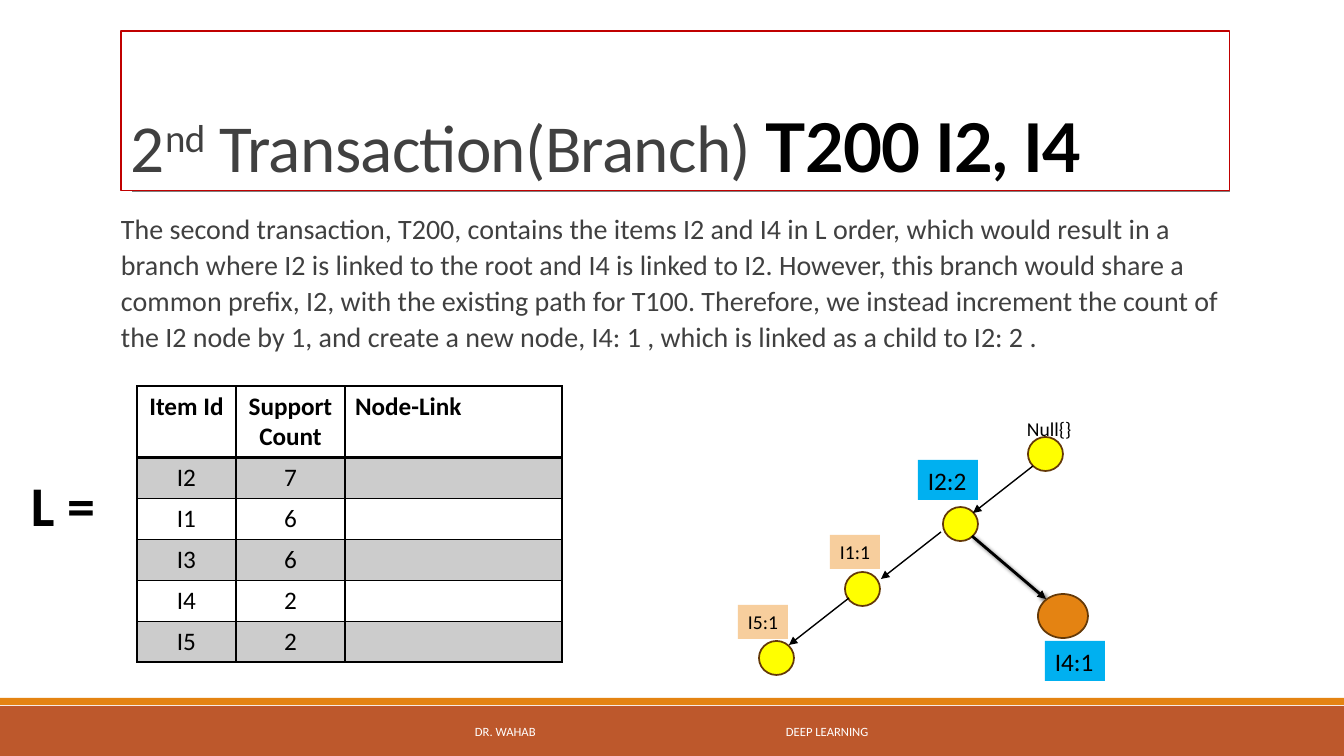
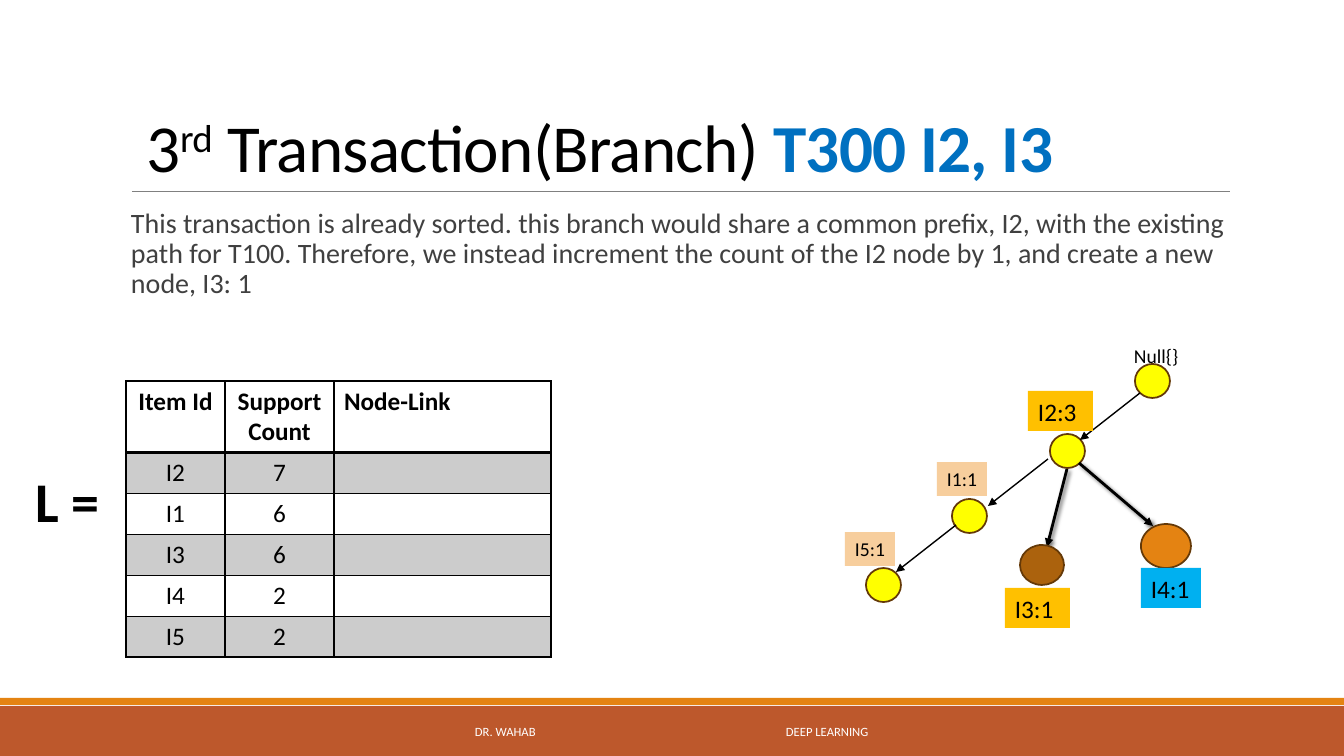
import lxml.etree
import pptx
import pptx.dml.color
import pptx.enum.shapes
import pptx.enum.text
import pptx.oxml.ns
import pptx.util

RGB = pptx.dml.color.RGBColor
SHAPE = pptx.enum.shapes.MSO_SHAPE
ALIGN = pptx.enum.text.PP_ALIGN
ANCHOR = pptx.enum.text.MSO_ANCHOR
qn = pptx.oxml.ns.qn

EMU_PER_PX = 914400 / 100.8
BLACK = RGB(0, 0, 0)
WHITE = RGB(0xFF, 0xFF, 0xFF)
DARK_GRAY = RGB(0x40, 0x40, 0x40)
RULE_GRAY = RGB(0x80, 0x80, 0x80)
STRIPE_GRAY = RGB(0xCC, 0xCC, 0xCC)
RUST = RGB(0xBD, 0x58, 0x2C)
ORANGE = RGB(0xE4, 0x83, 0x12)
BROWN = RGB(0xAB, 0x62, 0x0D)
DARK_BROWN = RGB(0x64, 0x39, 0x08)
PEACH = RGB(0xF7, 0xCE, 0x9D)
YELLOW = RGB(0xFF, 0xFF, 0)
AMBER = RGB(0xFF, 0xC0, 0)
SKY = RGB(0, 0xB0, 0xF0)
BLUE = RGB(0, 0x70, 0xC0)
RED = RGB(0xC0, 0, 0)

TITLE_BOX = (121, 31, 1109, 160)
BODY_BOX = (121, 204, 1109, 443)
FOOTER_BOX = (406, 712, 531, 40)
COLUMN_WIDTHS = (99, 109, 217)
ROW_HEIGHTS = (71, 40, 40, 40, 40, 40)
SUPPORT_ROWS = [
    ("Item Id", "Support Count", "Node-Link"),
    ("I2", "7", ""),
    ("I1", "6", ""),
    ("I3", "6", ""),
    ("I4", "2", ""),
    ("I5", "2", ""),
]
NODE_SIZE = (35, 34)
NODES = [(290, 25), (205, 95), (107, 160), (21, 229)]
ARROW_STARTS = [(295, 54), (203, 120), (111, 186)]
ARROW_STEP = (-60, 47)
SMALL_LABELS = [("I1:1", 92, 123), ("I5:1", 0, 193)]


def px(length):
    return pptx.util.Emu(round(length * EMU_PER_PX))


def box_px(box):
    return [px(length) for length in box]


def set_attributes(target, values):
    for name, value in values.items():
        setattr(target, name, value)


def add_element(parent, tag, **attributes):
    element = lxml.etree.SubElement(parent, qn(tag))
    for name, value in attributes.items():
        element.set(name, str(value))
    return element


def add_run(paragraph, text, size, color, bold=False, font="Calibri"):
    run = paragraph.add_run()
    run.text = text
    set_attributes(run.font, {"name": font, "size": pptx.util.Pt(size), "bold": bold})
    run.font.color.rgb = color
    return run


def format_frame(frame, wrap=True, anchor=ANCHOR.TOP, insets=(10, 5, 10, 5)):
    left, top, right, bottom = box_px(insets)
    set_attributes(frame, {
        "word_wrap": wrap,
        "auto_size": pptx.enum.text.MSO_AUTO_SIZE.NONE,
        "vertical_anchor": anchor,
        "margin_left": left,
        "margin_top": top,
        "margin_right": right,
        "margin_bottom": bottom,
    })


def add_text(slide, box, text, size, color=BLACK, bold=False, spacing=1.0, **frame_format):
    frame = slide.shapes.add_textbox(*box_px(box)).text_frame
    format_frame(frame, **frame_format)
    paragraph = frame.paragraphs[0]
    paragraph.line_spacing = spacing
    add_run(paragraph, text, size, color, bold)
    return paragraph


def add_box(slide, kind, box, fill, outline=None):
    shape = slide.shapes.add_shape(kind, *box_px(box))
    shape.shadow.inherit = False
    shape.fill.solid()
    shape.fill.fore_color.rgb = fill
    if outline is None:
        shape.line.fill.background()
    else:
        shape.line.color.rgb = outline
        shape.line.width = pptx.util.Pt(1.25)
    return shape


def add_line(slide, start, end, color=BLACK, width=1, arrow=True, shadow=False):
    connector = slide.shapes.add_connector(
        pptx.enum.shapes.MSO_CONNECTOR.STRAIGHT, *box_px((*start, *end)))
    connector.line.color.rgb = color
    connector.line.width = pptx.util.Pt(width)
    if arrow:
        add_element(connector.line._get_or_add_ln(), "a:tailEnd", type="triangle")
    effects = add_element(connector._element.spPr, "a:effectLst")
    if shadow:
        outer = add_element(effects, "a:outerShdw", blurRad=38100, dist=25400, dir=2700000)
        tint = add_element(outer, "a:srgbClr", val=BLACK)
        add_element(tint, "a:alpha", val=60000)


def add_frame(slide):
    add_box(slide, SHAPE.RECTANGLE, (0, 706, 1344, 50), RUST)
    add_box(slide, SHAPE.RECTANGLE, (0, 698, 1344, 7), ORANGE)
    add_line(slide, (132, 191), (1230, 191), RULE_GRAY, 0.5, arrow=False)
    footer = add_text(slide, FOOTER_BOX, "DR. WAHAB\tDEEP LEARNING", 9, WHITE,
                      anchor=ANCHOR.MIDDLE, insets=(69, 5, 10, 5))
    tabs = add_element(footer._p.get_or_add_pPr(), "a:tabLst")
    add_element(tabs, "a:tab", pos=px(311), algn="l")


def format_title(slide, ordinal, suffix, transaction, color, accent, font, spacing, inset):
    title = slide.shapes.title
    left, top, width, height = box_px(TITLE_BOX)
    set_attributes(title, {"left": left, "top": top, "width": width, "height": height})
    format_frame(title.text_frame, anchor=ANCHOR.BOTTOM, insets=(inset, 5, 10, 5))
    paragraph = title.text_frame.paragraphs[0]
    set_attributes(paragraph, {"alignment": ALIGN.LEFT, "line_spacing": spacing})
    runs = [
        add_run(paragraph, ordinal, 48, color),
        add_run(paragraph, suffix, 48, color),
        add_run(paragraph, " Transaction(Branch) ", 48, color),
        add_run(paragraph, transaction, 48, accent, True, font),
    ]
    for run in runs:
        run._r.get_or_add_rPr().set("spc", "-50")
    runs[1]._r.get_or_add_rPr().set("baseline", "30000")
    title.element.getparent().append(title.element)
    return title


def set_borders(cell, bottom_width, top_width):
    properties = cell._tc.get_or_add_tcPr()
    widths = {"a:lnL": 1, "a:lnR": 1, "a:lnT": top_width, "a:lnB": bottom_width}
    for position, (tag, width) in enumerate(widths.items()):
        line = lxml.etree.Element(qn(tag), w=str(pptx.util.Pt(width)))
        add_element(add_element(line, "a:solidFill"), "a:srgbClr", val=BLACK)
        properties.insert(position, line)


def add_support_table(slide, left, top):
    box = (left, top, sum(COLUMN_WIDTHS), sum(ROW_HEIGHTS))
    table = slide.shapes.add_table(
        len(ROW_HEIGHTS), len(COLUMN_WIDTHS), *box_px(box)).table
    set_attributes(table, {"first_row": False, "horz_banding": False})
    for column, width in zip(table.columns, COLUMN_WIDTHS):
        column.width = px(width)
    for row_index, (row, height) in enumerate(zip(table.rows, ROW_HEIGHTS)):
        row.height = px(height)
        for column_index, text in enumerate(SUPPORT_ROWS[row_index]):
            cell = row.cells[column_index]
            if row_index % 2:
                cell.fill.solid()
                cell.fill.fore_color.rgb = STRIPE_GRAY
            else:
                cell.fill.background()
            set_borders(cell, 2 if row_index == 0 else 1, 2 if row_index == 1 else 1)
            paragraph = cell.text_frame.paragraphs[0]
            paragraph.alignment = ALIGN.LEFT if column_index == 2 else ALIGN.CENTER
            if text:
                add_run(paragraph, text, 18, BLACK, row_index == 0)


def add_label(slide, box, text, fill, size=18):
    shape = add_box(slide, SHAPE.RECTANGLE, box, fill)
    format_frame(shape.text_frame, wrap=False)
    paragraph = shape.text_frame.paragraphs[0]
    paragraph.alignment = ALIGN.LEFT
    add_run(paragraph, text, size, BLACK)


def add_tree(slide, left, top, branches, labels):
    def place(x, y, *size):
        return (left + x, top + y, *size)

    for x, y in NODES:
        add_box(slide, SHAPE.FLOWCHART_CONNECTOR, place(x, y, *NODE_SIZE), YELLOW, DARK_BROWN)
    add_text(slide, place(279, 0, 66, 34), "Null{}", 14, wrap=False)
    for x, y in ARROW_STARTS:
        add_line(slide, place(x, y), place(x + ARROW_STEP[0], y + ARROW_STEP[1]))
    for text, x, y in SMALL_LABELS:
        add_label(slide, place(x, y, 50, 34), text, PEACH, 14)
    for start, end, node, fill in branches:
        add_line(slide, place(*start), place(*end), width=2, shadow=True)
        add_box(slide, SHAPE.FLOWCHART_CONNECTOR, place(*node), fill, DARK_BROWN)
    for text, box, fill in labels:
        add_label(slide, place(*box), text, fill)


def add_transaction_slide(presentation, title, body, list_origin, table_origin, tree):
    slide = presentation.slides.add_slide(presentation.slide_layouts[5])
    add_frame(slide)
    title_shape = format_title(slide, **title)
    add_text(slide, BODY_BOX, size=20, color=DARK_GRAY, **body)
    add_support_table(slide, *table_origin)
    add_text(slide, (*list_origin, 101, 77), "L =", 40, bold=True)
    add_tree(slide, **tree)
    return title_shape


def main():
    presentation = pptx.Presentation()
    set_attributes(presentation, {"slide_width": px(1344), "slide_height": px(756)})
    second_title = add_transaction_slide(
        presentation,
        title={"ordinal": "2", "suffix": "nd", "transaction": "T200 I2, I4",
               "color": DARK_GRAY, "accent": BLACK, "font": "Lato",
               "spacing": 0.85, "inset": 10},
        body={"text": "The second transaction, T200, contains the items I2 and I4 in L order, "
                      "which would result in a branch where I2 is linked to the root and I4 is "
                      "linked to I2. However, this branch would share a common prefix, I2, with "
                      "the existing path for T100. Therefore, we instead increment the count of "
                      "the I2 node by 1, and create a new node, I4: 1 , which is linked as a "
                      "child to I2: 2 .",
              "spacing": 1.07, "insets": (0, 5, 0, 5)},
        list_origin=(21, 466),
        table_origin=(137, 386),
        tree={"left": 738, "top": 412,
              "branches": [((234, 124), (308, 187), (300, 182, 50, 44), ORANGE)],
              "labels": [("I4:1", (307, 229, 60, 40), SKY),
                         ("I2:2", (180, 48, 60, 40), SKY)]},
    )
    second_title.line.color.rgb = RED
    second_title.line.width = pptx.util.Pt(0.75)
    add_transaction_slide(
        presentation,
        title={"ordinal": "3", "suffix": "rd", "transaction": "T300 I2, I3",
               "color": BLACK, "accent": BLUE, "font": "Calibri",
               "spacing": 1.07, "inset": 25},
        body={"text": "This transaction is already sorted. this branch would share a common "
                      "prefix, I2, with the existing path for T100. Therefore, we instead "
                      "increment the count of the I2 node by 1, and create a new node, I3: 1",
              "spacing": 0.9, "insets": (10, 5, 0, 5)},
        list_origin=(25, 462),
        table_origin=(126, 381),
        tree={"left": 845, "top": 339,
              "branches": [((234, 124), (308, 187), (296, 185, 50, 44), ORANGE),
                           ((222, 130), (202, 208), (175, 206, 44, 40), BROWN)],
              "labels": [("I4:1", (296, 229, 60, 40), SKY),
                         ("I2:3", (183, 52, 65, 40), AMBER),
                         ("I3:1", (160, 249, 65, 40), AMBER)]},
    )
    presentation.save("out.pptx")


if __name__ == "__main__":
    main()
